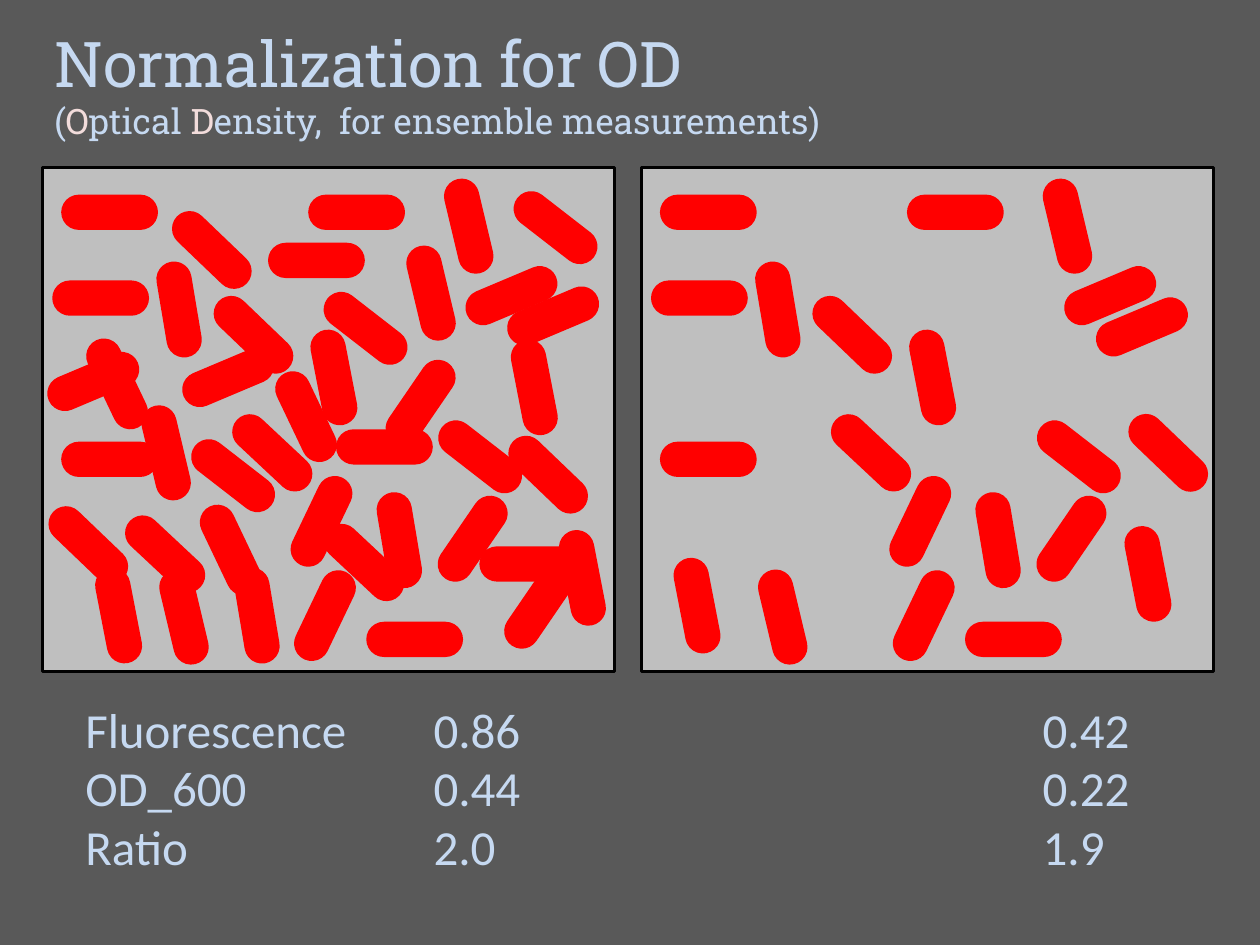
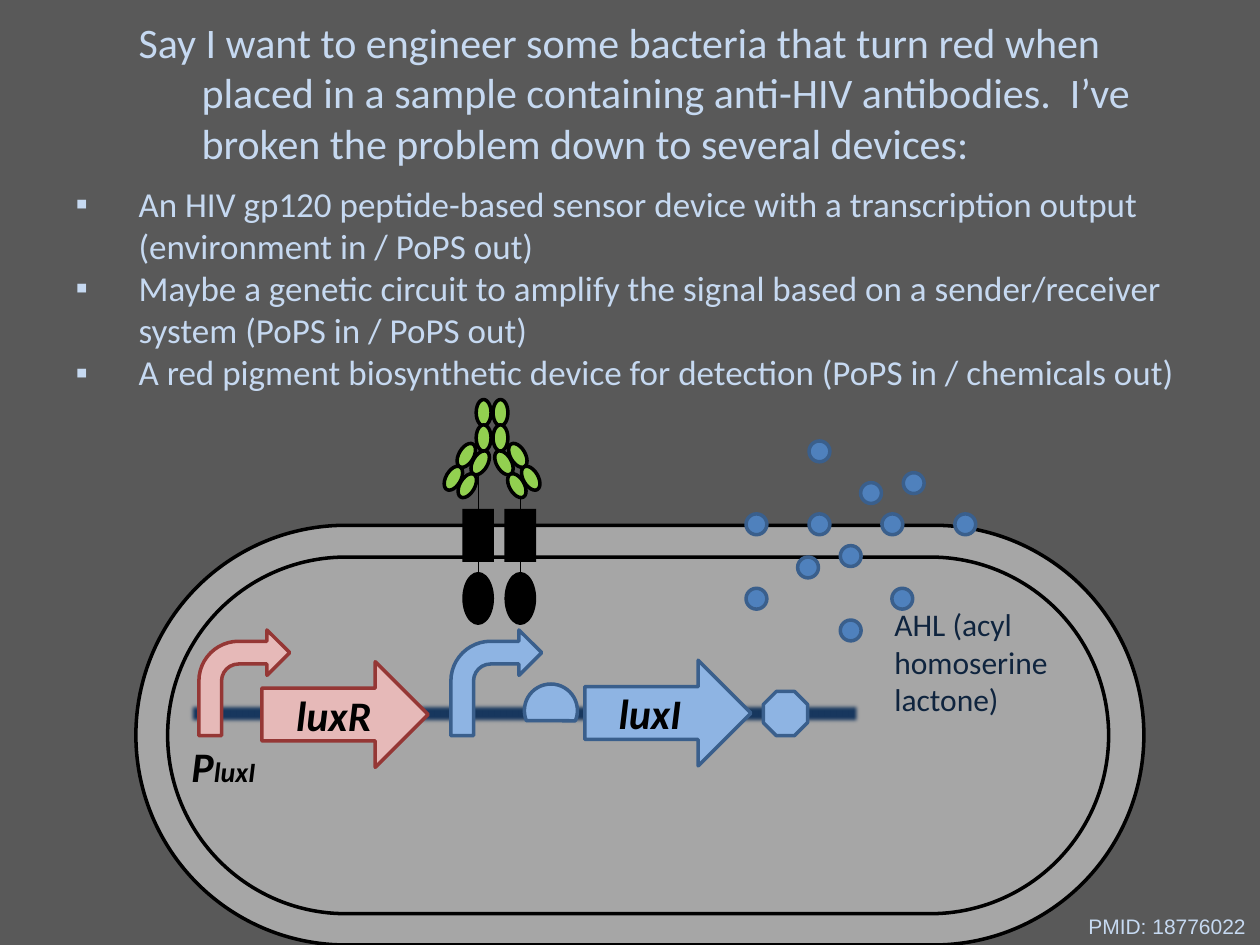
from dataclasses import dataclass

from lxml.etree import SubElement
from pptx import Presentation
from pptx.dml.color import RGBColor
from pptx.enum.shapes import MSO_CONNECTOR, MSO_SHAPE as Preset
from pptx.enum.text import MSO_ANCHOR, MSO_AUTO_SIZE, PP_ALIGN
from pptx.oxml.ns import qn
from pptx.util import Cm, Pt

# Shared look
COLOURS = {
    "page": "595959", "text": "C6D9F1", "initial": "F2DCDB", "ink": "0F243E",
    "black": "000000", "panel": "BFBFBF", "rod": "FF0000", "cell": "A6A6A6",
    "antibody": "92D050", "dna": "17375E", "blue": "8EB4E3", "blue_edge": "3A5F8C",
    "signal": "4F81BD", "pink": "E6B9B8", "pink_edge": "953735",
}
BODY_FONT, TITLE_FONT = "Calibri", "Roboto Slab"
HANGING = 1.27


@dataclass(frozen=True)
class Box:
    left: float
    top: float
    width: float
    height: float


@dataclass(frozen=True)
class Rod:
    left: float
    top: float
    turn: float = 0


@dataclass(frozen=True)
class Span:
    text: str
    size: float
    colour: str = "text"
    font: str = BODY_FONT
    strong: bool = False


@dataclass(frozen=True)
class Gene:
    name: str
    promoter: Box
    arrow: Box
    label: Box
    fill: str
    edge: str


# Slide 1: rods in left-panel coordinates
PANEL = Box(0.86, 3.38, 11.53, 10.16)
PANEL_STEP = 12.07
ROD_LENGTH, ROD_WIDTH = 1.88, 0.64
SHARED_RODS = [
    Rod(1.27, 3.96), Rod(6.25, 3.96), Rod(8.51, 4.24, 76.6), Rod(9.37, 5.64, 337.1),
    Rod(1.09, 5.69), Rod(2.67, 5.92, 80.5), Rod(4.17, 6.43, 43.8), Rod(5.79, 7.29, 79),
    Rod(4.55, 8.81, 43.1), Rod(8.74, 8.89, 37.8), Rod(1.27, 8.94),
    Rod(5.54, 10.19, 115.6), Rod(8.59, 10.54, 304.4), Rod(7.11, 10.57, 80.5),
    Rod(5.61, 12.09, 115.6), Rod(2.77, 12.12, 76.6), Rod(7.42, 12.57),
]
DENSE_RODS = [
    Rod(10.26, 4.27, 37.8), Rod(3.33, 4.72, 43.8), Rod(5.44, 4.93),
    Rod(7.75, 5.59, 76.6), Rod(10.21, 6.05, 337.1), Rod(6.43, 6.3, 37.8),
    Rod(3.66, 7.29, 337.1), Rod(0.94, 7.37, 337.1), Rod(1.42, 7.42, 64.5),
    Rod(9.83, 7.49, 79), Rod(7.54, 7.8, 304.4), Rod(5.23, 8.08, 64.5),
    Rod(6.81, 8.69), Rod(2.41, 8.81, 76.6), Rod(10.11, 9.25, 43.8),
    Rod(3.76, 9.27, 37.8), Rod(0.84, 10.67, 43.8), Rod(3.71, 10.77, 64.5),
    Rod(2.39, 10.85, 43.1), Rod(6.4, 11.02, 43.1), Rod(9.7, 11.05),
    Rod(10.8, 11.33, 79), Rod(9.93, 11.89, 304.4), Rod(1.45, 12.09, 79),
    Rod(4.24, 12.09, 80.5),
]
SPARSE_RODS = [
    Rod(10.01, 6.27, 337.1), Rod(10.54, 8.81, 43.8), Rod(10.13, 11.25, 79),
    Rod(1.04, 11.89, 79),
]
READINGS = [
    ("Fluorescence", "0.86", "0.42"),
    ("OD_600", "0.44", "0.22"),
    ("Ratio", "2.0", "1.9"),
]
READING_TABS = (7.02, 19.3)

# Slide 2
DEVICES = [
    "An HIV gp120 peptide-based sensor device with a transcription output "
    "(environment in / PoPS out)",
    "Maybe a genetic circuit to amplify the signal based on a sender/receiver "
    "system (PoPS in / PoPS out)",
    "A red pigment biosynthetic device for detection (PoPS in / chemicals out)",
]
ANTIBODY_AXIS = 9.92
# Centre x, centre y and turn of each lobe left of the axis
ANTIBODY_LOBES = [
    (9.75, 8.32, 0), (9.75, 8.83, 0), (9.4, 9.18, 30), (9.68, 9.33, 30),
    (9.14, 9.64, 30), (9.42, 9.79, 30),
]
SIGNALS = [
    (15.04, 11.86), (16.94, 12.5), (15.04, 10.36), (16.94, 11), (16.08, 11.23),
    (17.98, 11.86), (16.31, 10.36), (17.78, 10.36), (16.31, 8.89), (18.21, 9.53),
    (17.35, 9.73), (19.25, 10.36),
]
LUX_I = Gene("luxI", Box(9.09, 12.7, 1.83, 2.13), Box(11.79, 13.31, 3.35, 2.13),
             Box(12.22, 13.74, 1.8, 1.27), "blue", "blue_edge")
LUX_R = Gene("luxR", Box(4.01, 12.7, 1.83, 2.13), Box(5.28, 13.34, 3.35, 2.13),
             Box(5.72, 13.77, 2.06, 1.27), "pink", "pink_edge")


def rgb(name: str) -> RGBColor:
    return RGBColor.from_string(COLOURS[name])


def place(shape, box: Box) -> None:
    shape.left, shape.top = Cm(box.left), Cm(box.top)
    shape.width, shape.height = Cm(box.width), Cm(box.height)


def add_preset(shapes, preset, box: Box, fill: str, edge: str | None = None,
               turn: float = 0):
    """Add a flat preset shape with an optional 2 pt outline."""
    shape = shapes.add_shape(preset, Cm(box.left), Cm(box.top),
                             Cm(box.width), Cm(box.height))
    shape.shadow.inherit = False
    shape.rotation = turn
    shape.fill.solid()
    shape.fill.fore_color.rgb = rgb(fill)
    if edge:
        shape.line.color.rgb = rgb(edge)
        shape.line.width = Pt(2)
    else:
        shape.line.fill.background()
    return shape


def add_capsule(shapes, box: Box, fill: str, edge: str, turn: float = 0) -> None:
    capsule = add_preset(shapes, Preset.ROUNDED_RECTANGLE, box, fill, edge, turn)
    capsule.adjustments[0] = 0.5


def format_run(run, style: Span) -> None:
    run.font.size = Pt(style.size)
    run.font.name = style.font
    run.font.color.rgb = rgb(style.colour)
    run.font.bold = run.font.italic = style.strong


def write_line(para, *spans: Span) -> None:
    para.alignment = PP_ALIGN.LEFT
    para.space_before = Pt(0)
    for span in spans:
        run = para.add_run()
        run.text = span.text
        format_run(run, span)


def hang(para) -> None:
    properties = para._p.get_or_add_pPr()
    properties.set("marL", str(Cm(HANGING)))
    properties.set("indent", str(-Cm(HANGING)))


def prepare_placeholder(shape, box: Box):
    place(shape, box)
    frame = shape.text_frame
    frame.word_wrap = True
    frame.auto_size = MSO_AUTO_SIZE.NONE
    frame.vertical_anchor = MSO_ANCHOR.TOP
    return frame


def add_label(shapes, box: Box, *spans: Span, wrap: bool = False) -> None:
    label = shapes.add_textbox(Cm(box.left), Cm(box.top), Cm(box.width), Cm(box.height))
    label.text_frame.word_wrap = wrap
    write_line(label.text_frame.paragraphs[0], *spans)


def add_panel(shapes, offset: float, rods: list[Rod]) -> None:
    panel = Box(PANEL.left + offset, PANEL.top, PANEL.width, PANEL.height)
    add_preset(shapes, Preset.RECTANGLE, panel, "panel", "black")
    for rod in rods:
        box = Box(rod.left + offset, rod.top, ROD_LENGTH, ROD_WIDTH)
        add_capsule(shapes, box, "rod", "rod", rod.turn)


def add_readings(shapes) -> None:
    box = shapes.add_textbox(Cm(1.47), Cm(13.97), Cm(22.23), Cm(3.84))
    frame = box.text_frame
    frame.word_wrap = True
    frame.text = "\n".join("\t".join(row) for row in READINGS)
    for para in frame.paragraphs:
        tabs = SubElement(para._p.get_or_add_pPr(), qn("a:tabLst"))
        for position in READING_TABS:
            SubElement(tabs, qn("a:tab"), pos=str(Cm(position)), algn="l")
        for run in para.runs:
            format_run(run, Span("", 28))


def add_receptor(shapes, left: float) -> None:
    group = shapes.add_group_shape().shapes
    add_preset(group, Preset.RECTANGLE, Box(left, 10.26, 0.64, 1.07), "black")
    add_preset(group, Preset.OVAL, Box(left, 11.53, 0.64, 1.07), "black")
    middle = Cm(left + 0.32)
    stem = group.add_connector(MSO_CONNECTOR.STRAIGHT, middle, Cm(12.17), middle, Cm(9.53))
    stem.line.color.rgb = rgb("black")
    stem.line.width = Pt(0.75)
    SubElement(stem._element.spPr, qn("a:effectLst"))


def add_antibody(shapes) -> None:
    group = shapes.add_group_shape().shapes
    width, height = 0.3, 0.53
    for x, y, turn in ANTIBODY_LOBES:
        for centre, angle in ((x, turn), (2 * ANTIBODY_AXIS - x, -turn)):
            lobe = Box(centre - width / 2, y - height / 2, width, height)
            add_preset(group, Preset.OVAL, lobe, "antibody", "black", angle)


def add_gene(shapes, gene: Gene) -> None:
    add_preset(shapes, Preset.BENT_ARROW, gene.promoter, gene.fill, gene.edge)
    add_preset(shapes, Preset.RIGHT_ARROW, gene.arrow, gene.fill, gene.edge)
    add_label(shapes, gene.label, Span(gene.name, 24, "black", strong=True))


def add_circuit(shapes) -> None:
    group = shapes.add_group_shape().shapes
    strand = add_preset(group, Preset.RECTANGLE, Box(3.81, 14.17, 13.54, 0.43), "dna")
    effects = strand._element.spPr.find(qn("a:effectLst"))
    SubElement(effects, qn("a:softEdge"), rad=str(Pt(2.5)))
    add_gene(group, LUX_I)
    add_preset(group, Preset.OCTAGON, Box(15.39, 13.94, 0.89, 0.89), "blue", "blue_edge")
    add_preset(group, Preset.CHORD, Box(10.57, 13.79, 1.07, 1.07), "blue", "blue_edge", 112.7)


def build_normalization(deck) -> None:
    page = deck.slides.add_slide(deck.slide_layouts[5])
    frame = prepare_placeholder(page.shapes.title, Box(0.84, 0.36, 23.93, 2.64))
    write_line(frame.paragraphs[0], Span("Normalization for OD", 36, font=TITLE_FONT))
    subtitle = [("(", "text"), ("O", "initial"), ("ptical ", "text"), ("D", "initial"),
                ("ensity,  for ensemble measurements)", "text")]
    write_line(frame.add_paragraph(),
               *(Span(text, 20, colour, TITLE_FONT) for text, colour in subtitle))
    add_panel(page.shapes, 0, SHARED_RODS + DENSE_RODS)
    add_panel(page.shapes, PANEL_STEP, SHARED_RODS + SPARSE_RODS)
    add_readings(page.shapes)


def build_devices(deck) -> None:
    page = deck.slides.add_slide(deck.slide_layouts[1])
    shapes = page.shapes

    # Problem statement and device list
    frame = prepare_placeholder(shapes.title, Box(2.54, 0.2, 22.02, 3.33))
    hang(frame.paragraphs[0])
    write_line(frame.paragraphs[0], Span(
        "Say I want to engineer some bacteria that turn red when placed in a sample "
        "containing anti-HIV antibodies.  I’ve broken the problem down to several "
        "devices:", 24))
    frame = prepare_placeholder(page.placeholders[1], Box(1.27, 3.56, 23.7, 4.52))
    frame.text = "\n".join(DEVICES)
    for para in frame.paragraphs:
        hang(para)
        SubElement(para._p.get_or_add_pPr(), qn("a:buChar"), char="▪")
        para.space_before = Pt(0)
        format_run(para.runs[0], Span("", 20))

    # Cell with its receptors
    for wall in (Box(2.74, 10.59, 20.32, 8.46), Box(3.38, 11.23, 18.97, 7.19)):
        add_capsule(shapes, wall, "cell", "black")
    for left in (9.32, 10.17):
        add_receptor(shapes, left)
    add_antibody(shapes)

    # Genetic circuit and signal molecules
    add_circuit(shapes)
    signals = shapes.add_group_shape().shapes
    for left, top in SIGNALS:
        add_preset(signals, Preset.OVAL, Box(left, top, 0.42, 0.42), "signal", "blue_edge")
    add_gene(shapes, LUX_R)
    add_label(shapes, Box(3.61, 14.81, 1.83, 1.27),
              Span("P", 24, "black", strong=True), Span("luxI", 16, "black", strong=True))
    add_label(shapes, Box(17.78, 12.07, 4.24, 2.57),
              Span("AHL (acyl homoserine lactone)", 18, "ink"), wrap=True)
    add_label(shapes, Box(21.69, 18.29, 3.71, 0.76), Span("PMID: 18776022", 12, font="Arial"))


def main() -> None:
    deck = Presentation()
    deck.slide_width, deck.slide_height = Cm(25.4), Cm(19.05)
    background = deck.slide_master.background.fill
    background.solid()
    background.fore_color.rgb = rgb("page")
    build_normalization(deck)
    build_devices(deck)
    deck.save("out.pptx")


if __name__ == "__main__":
    main()
